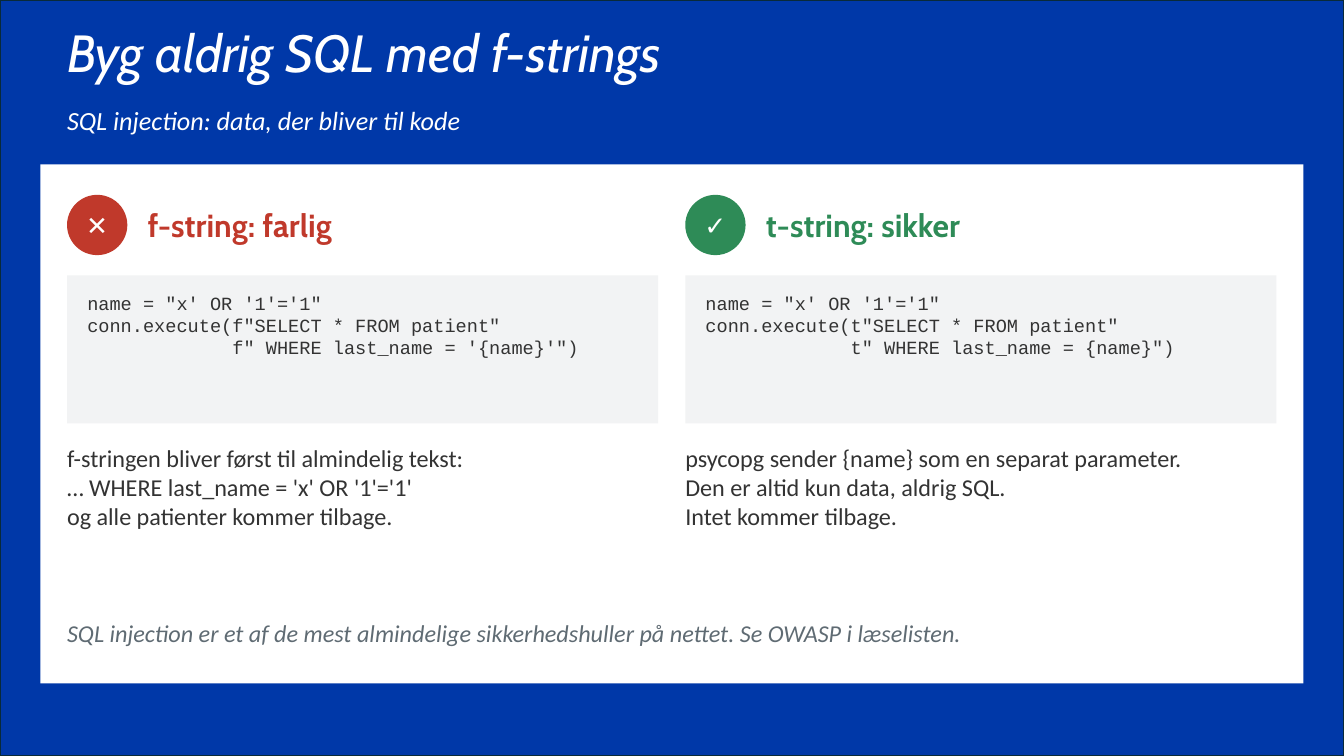
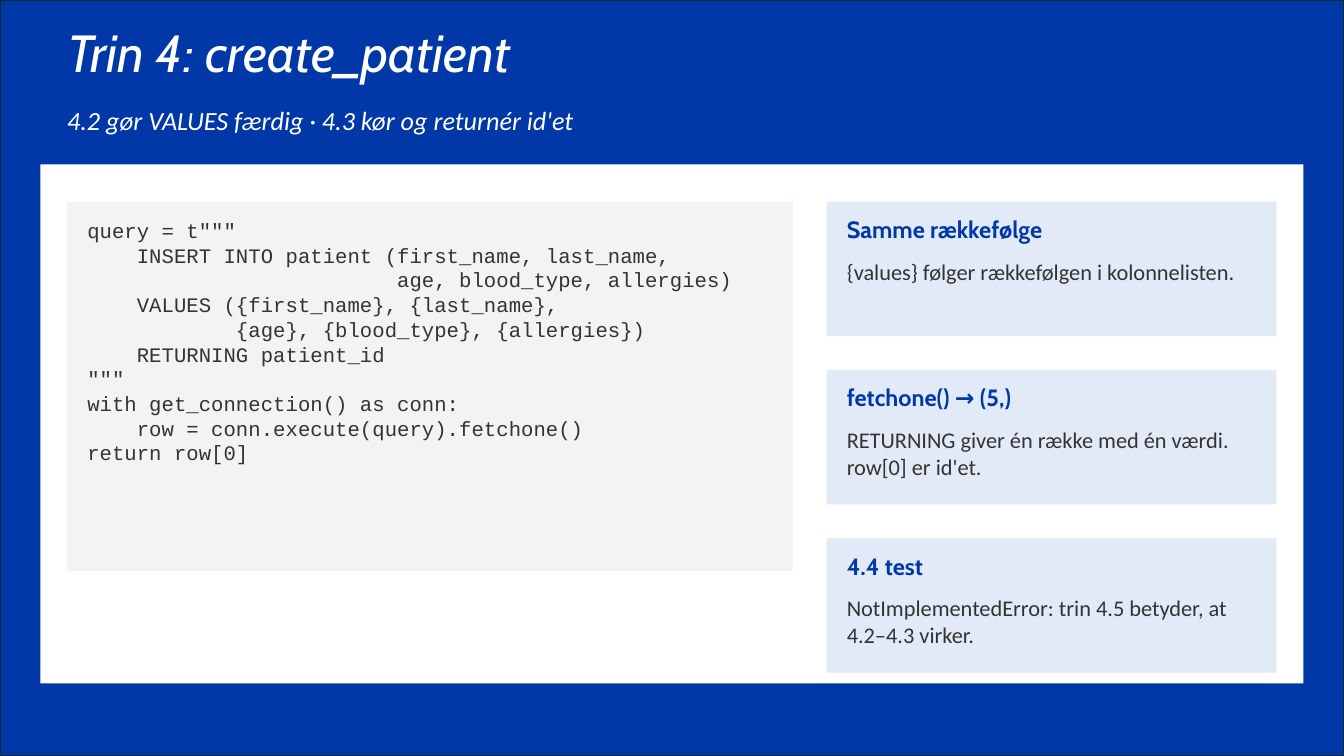
from pptx import Presentation
from pptx.dml.color import RGBColor
from pptx.enum.shapes import MSO_SHAPE
from pptx.enum.text import MSO_ANCHOR, PP_ALIGN
from pptx.util import Cm, Pt

RECTANGLE, OVAL = MSO_SHAPE.RECTANGLE, MSO_SHAPE.OVAL
TOP, MIDDLE = MSO_ANCHOR.TOP, MSO_ANCHOR.MIDDLE
LEFT, CENTER = PP_ALIGN.LEFT, PP_ALIGN.CENTER

COLORS = {
    "blue": "0038A8", "edge": "092A39", "white": "FFFFFF", "red": "C0392B",
    "green": "2E8B57", "code": "F2F3F4", "card": "E3EAF7", "text": "333333",
    "muted": "5F6B73",
}
HEADING, BODY, MONO = "Cabin", "Calibri", "Courier New"

WIDTH, HEIGHT = 33.87, 19.05
MARGIN, CONTENT_WIDTH = 1.69, 30.48
PANEL = (1.02, 4.14, 31.83, 13.08)
PADDING = 0.51

COMPARISON = {
    "title": "Byg aldrig SQL med f-strings",
    "subtitle": "SQL injection: data, der bliver til kode",
    "columns": [
        {
            "symbol": "✕", "heading": "f-string: farlig", "color": "red",
            "code": [
                "name = \"x' OR '1'='1\"",
                "conn.execute(f\"SELECT * FROM patient\"",
                "             f\" WHERE last_name = '{name}'\")",
            ],
            "result": [
                "f-stringen bliver først til almindelig tekst:",
                "… WHERE last_name = 'x' OR '1'='1'",
                "og alle patienter kommer tilbage.",
            ],
        },
        {
            "symbol": "✓", "heading": "t-string: sikker", "color": "green",
            "code": [
                "name = \"x' OR '1'='1\"",
                "conn.execute(t\"SELECT * FROM patient\"",
                "             t\" WHERE last_name = {name}\")",
            ],
            "result": [
                "psycopg sender {name} som en separat parameter.",
                "Den er altid kun data, aldrig SQL.",
                "Intet kommer tilbage.",
            ],
        },
    ],
    "note": "SQL injection er et af de mest almindelige sikkerhedshuller på nettet. "
            "Se OWASP i læselisten.",
}

STEP = {
    "title": "Trin 4: create_patient",
    "subtitle": "4.2 gør VALUES færdig · 4.3 kør og returnér id'et",
    "code": [
        'query = t"""',
        "    INSERT INTO patient (first_name, last_name,",
        "                         age, blood_type, allergies)",
        "    VALUES ({first_name}, {last_name},",
        "            {age}, {blood_type}, {allergies})",
        "    RETURNING patient_id",
        '"""',
        "with get_connection() as conn:",
        "    row = conn.execute(query).fetchone()",
        "return row[0]",
    ],
    "cards": [
        ("Samme rækkefølge", "{values} følger rækkefølgen i kolonnelisten."),
        ("fetchone() → (5,)", "RETURNING giver én række med én værdi. row[0] er id'et."),
        ("4.4 test", "NotImplementedError: trin 4.5 betyder, at 4.2–4.3 virker."),
    ],
}


def rgb(name):
    return RGBColor.from_string(COLORS[name])


def add_block(slide, kind, box, fill, line=None):
    shape = slide.shapes.add_shape(kind, *map(Cm, box))
    shape.shadow.inherit = False
    shape.fill.solid()
    shape.fill.fore_color.rgb = rgb(fill)
    if line:
        shape.line.color.rgb = rgb(line)
        shape.line.width = Pt(1.5)
    else:
        shape.line.fill.background()
    return shape


def set_frame(shape, side=0, top=0, anchor=TOP):
    frame = shape.text_frame
    frame.word_wrap = True
    frame.vertical_anchor = anchor
    frame.margin_left = frame.margin_right = Cm(side)
    frame.margin_top, frame.margin_bottom = Cm(top), Cm(0)
    return frame


def write(frame, lines, font, size, color, bold=False, italic=False, align=LEFT):
    for line in lines:
        first = frame.paragraphs[0]
        paragraph = frame.add_paragraph() if first.runs else first
        paragraph.alignment = align
        run = paragraph.add_run()
        run.text = line
        run.font.name = font
        run.font.size = Pt(size)
        run.font.color.rgb = rgb(color)
        run.font.bold = bold
        run.font.italic = italic
    return paragraph


def add_text(slide, box, lines, font, size, color, anchor=TOP, **style):
    frame = set_frame(slide.shapes.add_textbox(*map(Cm, box)), anchor=anchor)
    return write(frame, lines, font, size, color, **style)


def add_code(slide, box, lines, size):
    shape = add_block(slide, RECTANGLE, box, "code")
    write(set_frame(shape, PADDING, 0.41), lines, MONO, size, "text")


def add_slide(presentation, content):
    slide = presentation.slides.add_slide(presentation.slide_layouts[6])
    add_block(slide, RECTANGLE, (0, 0, WIDTH, HEIGHT), "blue", "edge")
    title = add_text(slide, (MARGIN, 0.68, CONTENT_WIDTH, 1.85), [content["title"]],
                     HEADING, 37.3, "white", italic=True)
    title.line_spacing = 0.9
    add_block(slide, RECTANGLE, PANEL, "white")
    add_text(slide, (MARGIN, 2.64, CONTENT_WIDTH, 1.19), [content["subtitle"]],
             BODY, 18.7, "white", italic=True)
    return slide


def add_column(slide, left, width, column):
    top, badge, indent = 4.91, 1.52, 2.03
    color = column["color"]
    circle = add_block(slide, OVAL, (left, top, badge, badge), color)
    write(set_frame(circle, anchor=MIDDLE), [column["symbol"]],
          BODY, 18.7, "white", bold=True, align=CENTER)
    add_text(slide, (left + indent, top, width - indent, badge), [column["heading"]],
             HEADING, 22.8, color, anchor=MIDDLE, bold=True)
    add_code(slide, (left, 6.94, width, 3.73), column["code"], 13.3)
    add_text(slide, (left, 11.18, width, 3.39), column["result"], BODY, 17.3, "text")


def build_comparison(presentation):
    slide = add_slide(presentation, COMPARISON)
    columns, gap = COMPARISON["columns"], 0.68
    width = (CONTENT_WIDTH - gap * (len(columns) - 1)) / len(columns)
    for index, column in enumerate(columns):
        add_column(slide, MARGIN + index * (width + gap), width, column)
    add_text(slide, (MARGIN, 15.58, CONTENT_WIDTH, 1.2), [COMPARISON["note"]],
             BODY, 17.3, "muted", italic=True)


def build_step(presentation):
    slide = add_slide(presentation, STEP)
    top, code_width, gap = 5.08, 18.29, 0.85
    add_code(slide, (MARGIN, top, code_width, 9.31), STEP["code"], 14.7)
    left = MARGIN + code_width + gap
    width = CONTENT_WIDTH - code_width - gap
    height = 3.39
    for index, (heading, body) in enumerate(STEP["cards"]):
        box = (left, top + index * (height + gap), width, height)
        frame = set_frame(add_block(slide, RECTANGLE, box, "card"), PADDING, 0.34)
        paragraph = write(frame, [heading], HEADING, 16.8, "blue", bold=True)
        paragraph.space_after = Pt(10.4)
        write(frame, [body], BODY, 16, "text")


def main():
    presentation = Presentation()
    presentation.slide_width, presentation.slide_height = Cm(WIDTH), Cm(HEIGHT)
    build_comparison(presentation)
    build_step(presentation)
    presentation.save("out.pptx")


if __name__ == "__main__":
    main()
